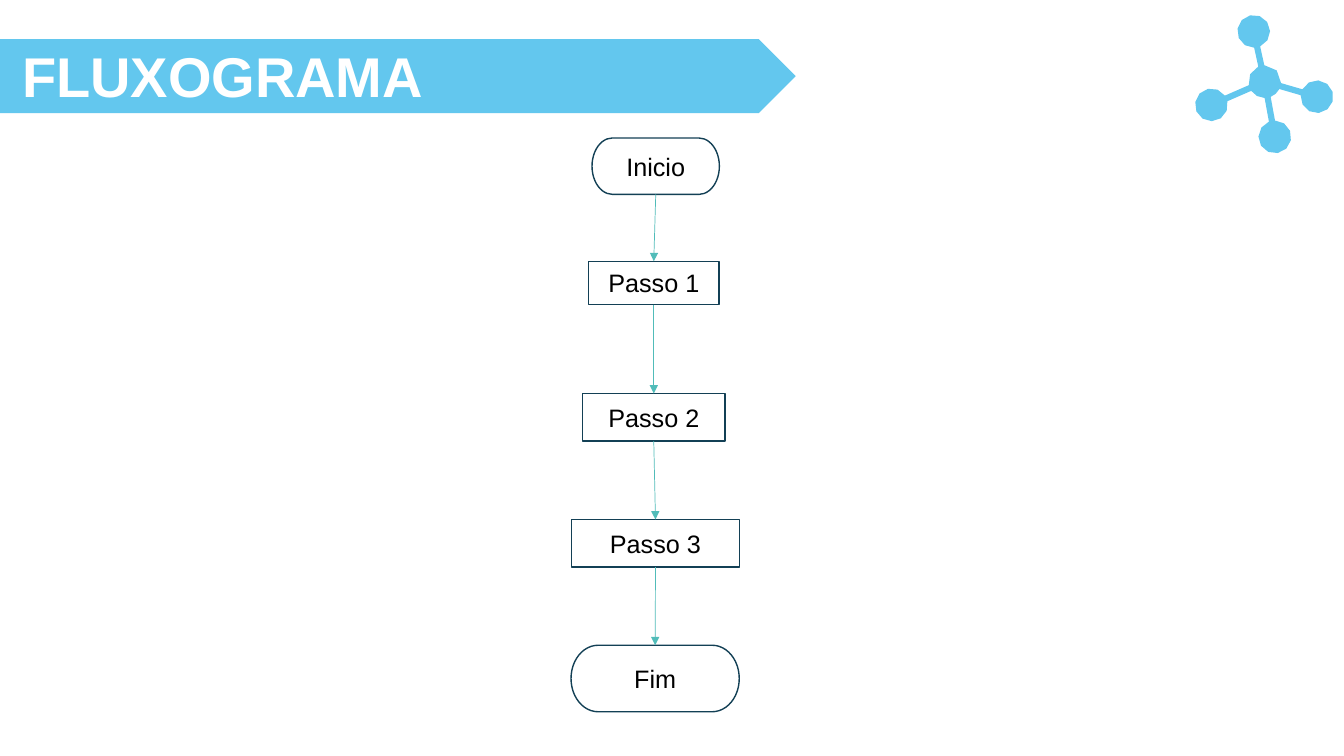
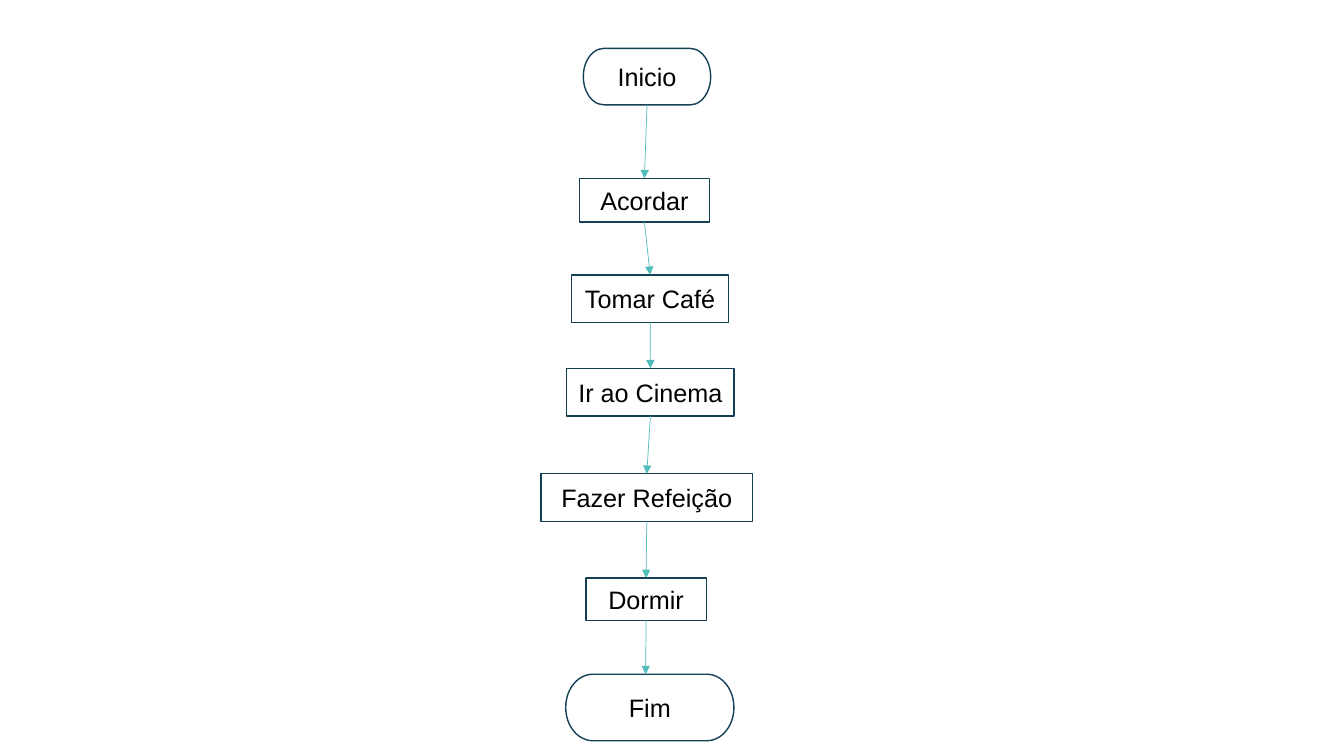
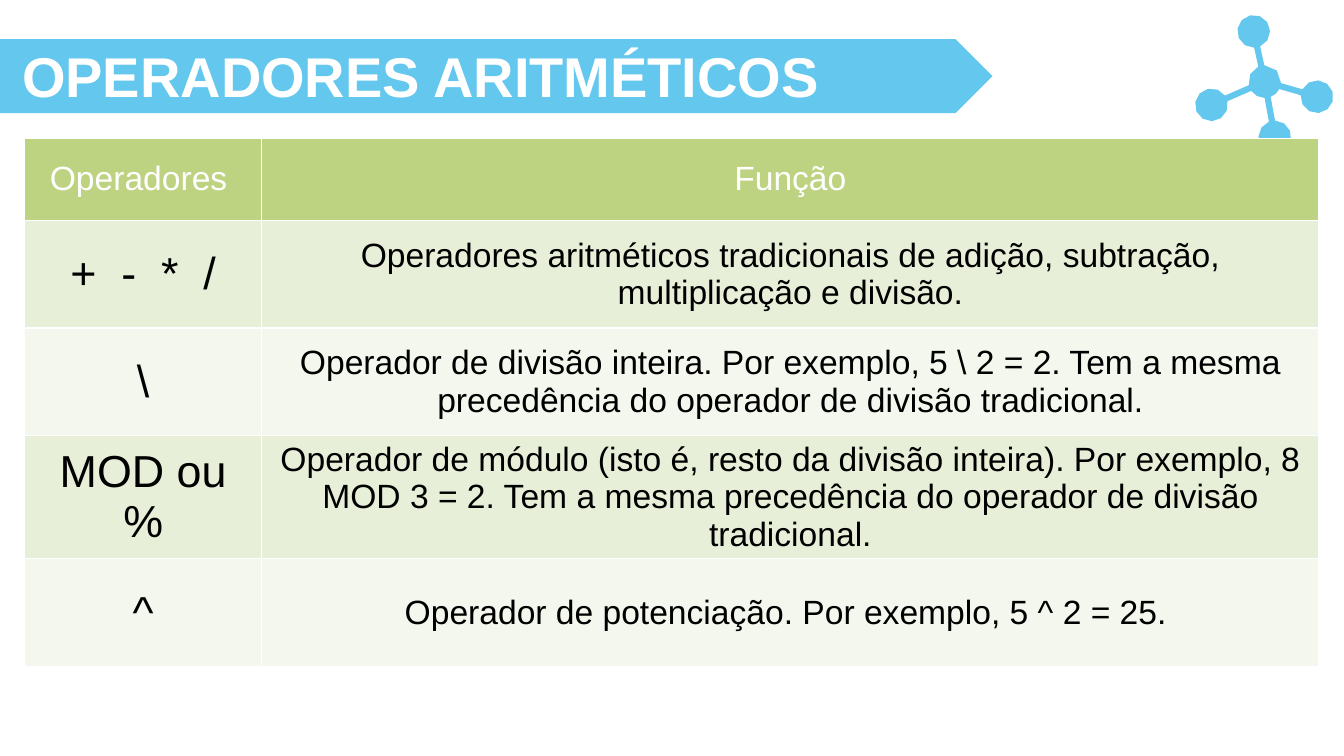
from math import asin, atan2, cos, pi, sin

from lxml import etree
from pptx import Presentation
from pptx.dml.color import RGBColor
from pptx.enum.shapes import MSO_CONNECTOR, MSO_SHAPE
from pptx.enum.text import MSO_ANCHOR, PP_ALIGN
from pptx.oxml.ns import qn
from pptx.util import Pt

STRAIGHT = MSO_CONNECTOR.STRAIGHT
PENTAGON = MSO_SHAPE.PENTAGON
PROCESS = MSO_SHAPE.FLOWCHART_PROCESS
TERMINATOR = MSO_SHAPE.FLOWCHART_TERMINATOR
MIDDLE = MSO_ANCHOR.MIDDLE
CENTER = PP_ALIGN.CENTER
LEFT = PP_ALIGN.LEFT

FONT = "Arial"
COLORS = {
    "sky": "63C7EE",
    "outline": "134055",
    "arrow": "51BCB9",
    "white": "FFFFFF",
    "black": "000000",
    "header": "BED381",
    "band_dark": "E8EFD8",
    "band_light": "F4F7ED",
}

# Each step: text, centre offset from the axis, top offset, width, height
STEPS_MODEL = [
    ("Inicio", 0.4, 0, 91, 40.3),
    ("Passo 1", -1, 88, 93, 31),
    ("Passo 2", -1, 182.5, 101.5, 34),
    ("Passo 3", 0.2, 272.5, 119.8, 34),
    ("Fim", 0, 362.3, 120.2, 47.5),
]
STEPS_DAY = [
    ("Inicio", 0, 0, 91, 40.3),
    ("Acordar", -1.9, 92.8, 93, 31.2),
    ("Tomar Café", 2.2, 161.7, 112.3, 34),
    ("Ir ao Cinema", 2.4, 228.5, 119.5, 34),
    ("Fazer Refeição", -0.2, 303.8, 151.2, 34),
    ("Dormir", -0.7, 378.3, 86, 30.2),
    ("Fim", 2, 447, 120.2, 47.5),
]
OPERATORS = [
    ("Operadores ", "Função"),
    ("+  -  *  /", "Operadores aritméticos tradicionais de adição, subtração, "
     "multiplicação e divisão."),
    ("\\", "Operador de divisão inteira. Por exemplo, 5 \\ 2 = 2. Tem a mesma "
     "precedência do operador de divisão tradicional."),
    ("MOD ou %", "Operador de módulo (isto é, resto da divisão inteira). "
     "Por exemplo, 8 MOD 3 = 2. Tem a mesma precedência do operador de "
     "divisão tradicional."),
    ("^", "Operador de potenciação. Por exemplo, 5 ^ 2 = 25. "),
]


def rgb(name):
    return RGBColor.from_string(COLORS[name])


def write(tf, text, size, color, align, bold=False):
    tf.text = text
    p = tf.paragraphs[0]
    p.alignment = align
    font = p.runs[0].font
    font.name, font.size, font.bold = FONT, Pt(size), bold
    font.color.rgb = rgb(color)


def paint(sp, fill, line=None):
    sp.shadow.inherit = False
    sp.fill.solid()
    sp.fill.fore_color.rgb = rgb(fill)
    if line:
        sp.line.color.rgb = rgb(line)
        sp.line.width = Pt(1)
    else:
        sp.line.fill.background()


def arc(x, y, radius, start, end, steps):
    angles = (start + (end - start) * i / steps for i in range(steps + 1))
    return [(x + radius * cos(a), y + radius * sin(a)) for a in angles]


def add_molecule(s, left, top):
    """Outline a hub with four balls, each joined to it by a bar."""
    radius, bar = 11.7, 4.4
    hub_x, hub_y = 49.7, 47.5
    balls = [(41.8, 11.6), (87, 58.3), (56.9, 87), (11.6, 64.1)]
    spokes = sorted((atan2(y - hub_y, x - hub_x), x, y) for x, y in balls)
    half = asin(bar / 2 / radius)
    points = []
    for i, (angle, x, y) in enumerate(spokes):
        following = spokes[(i + 1) % len(spokes)][0]
        if following < angle:
            following += 2 * pi
        points += arc(x, y, radius, angle + pi + half, angle + 3 * pi - half, 10)
        points += arc(hub_x, hub_y, radius, angle + half, following - half, 2)
    points = [(Pt(left + x), Pt(top + y)) for x, y in points]
    outline = s.shapes.build_freeform(*points[0])
    outline.add_line_segments(points[1:], close=True)
    paint(outline.convert_to_shape(), "sky")


def add_title(s, text, band_width, text_width):
    add_molecule(s, 853.7, 10.8)
    band = s.shapes.add_shape(PENTAGON, 0, Pt(28), Pt(band_width), Pt(52.8))
    paint(band, "sky")
    box = s.shapes.add_textbox(Pt(8.8), Pt(36.8), Pt(text_width), Pt(34))
    tf = box.text_frame
    tf.word_wrap = True
    tf.vertical_anchor = MIDDLE
    write(tf, text, 40, "white", LEFT, bold=True)


def add_arrow(s, x1, y1, x2, y2):
    line = s.shapes.add_connector(STRAIGHT, Pt(x1), Pt(y1), Pt(x2), Pt(y2))
    line.line.color.rgb = rgb("arrow")
    line.line.width = Pt(0.5)
    etree.SubElement(line.line._get_or_add_ln(), qn("a:tailEnd"), type="triangle")
    etree.SubElement(line._element.spPr, qn("a:effectLst"))


def add_flow(s, axis, top, steps, end_shift=0):
    """Stack steps around a vertical axis; end_shift moves the last arrow tip."""
    last = len(steps) - 1
    for i, (text, dx, y, width, height) in enumerate(steps):
        kind = TERMINATOR if i in (0, last) else PROCESS
        sp = s.shapes.add_shape(kind, Pt(axis + dx - width / 2), Pt(top + y),
                                Pt(width), Pt(height))
        paint(sp, "white", "outline")
        tf = sp.text_frame
        tf.word_wrap = False
        tf.vertical_anchor = MIDDLE
        write(tf, text, 18, "black", CENTER)
    for i, (start, end) in enumerate(zip(steps, steps[1:]), 1):
        shift = end_shift if i == last else 0
        add_arrow(s, axis + start[1], top + start[2] + start[4],
                  axis + end[1] + shift, top + end[2])


def set_borders(cell):
    tc_pr = cell._tc.get_or_add_tcPr()
    for i, tag in enumerate(("a:lnL", "a:lnR", "a:lnT", "a:lnB")):
        ln = etree.Element(qn(tag), w=str(Pt(1)))
        fill = etree.SubElement(ln, qn("a:solidFill"))
        etree.SubElement(fill, qn("a:srgbClr"), val=COLORS["white"])
        tc_pr.insert(i, ln)


def add_operator_table(s, left, top, rows):
    widths, heights = [169.2, 755.3], [58.5] + [77] * (len(rows) - 1)
    table = s.shapes.add_table(len(rows), 2, Pt(left), Pt(top),
                               Pt(sum(widths)), Pt(sum(heights))).table
    table.horz_banding = False
    for column, width in zip(table.columns, widths):
        column.width = Pt(width)
    for r, texts in enumerate(rows):
        table.rows[r].height = Pt(heights[r])
        fill = "header" if r == 0 else ("band_light", "band_dark")[r % 2]
        for c, text in enumerate(texts):
            cell = table.cell(r, c)
            cell.vertical_anchor = MIDDLE
            cell.margin_top = cell.margin_bottom = Pt(0.7)
            cell.fill.solid()
            cell.fill.fore_color.rgb = rgb(fill)
            set_borders(cell)
            write(cell.text_frame, text, 32 if r and c == 0 else 24,
                  "black" if r else "white", CENTER)


def main():
    prs = Presentation()
    prs.slide_width, prs.slide_height = Pt(960), Pt(540)
    model, day, operators = (prs.slides.add_slide(prs.slide_layouts[6])
                             for _ in range(3))

    add_title(model, "FLUXOGRAMA", 568.4, 494)
    add_flow(model, 468, 98.6, STEPS_MODEL)

    add_flow(day, 462.2, 34.6, STEPS_DAY, end_shift=-3)

    add_title(operators, "OPERADORES ARITMÉTICOS", 709, 621.4)
    add_operator_table(operators, 17.7, 98.8, OPERATORS)

    prs.save("out.pptx")


if __name__ == "__main__":
    main()
